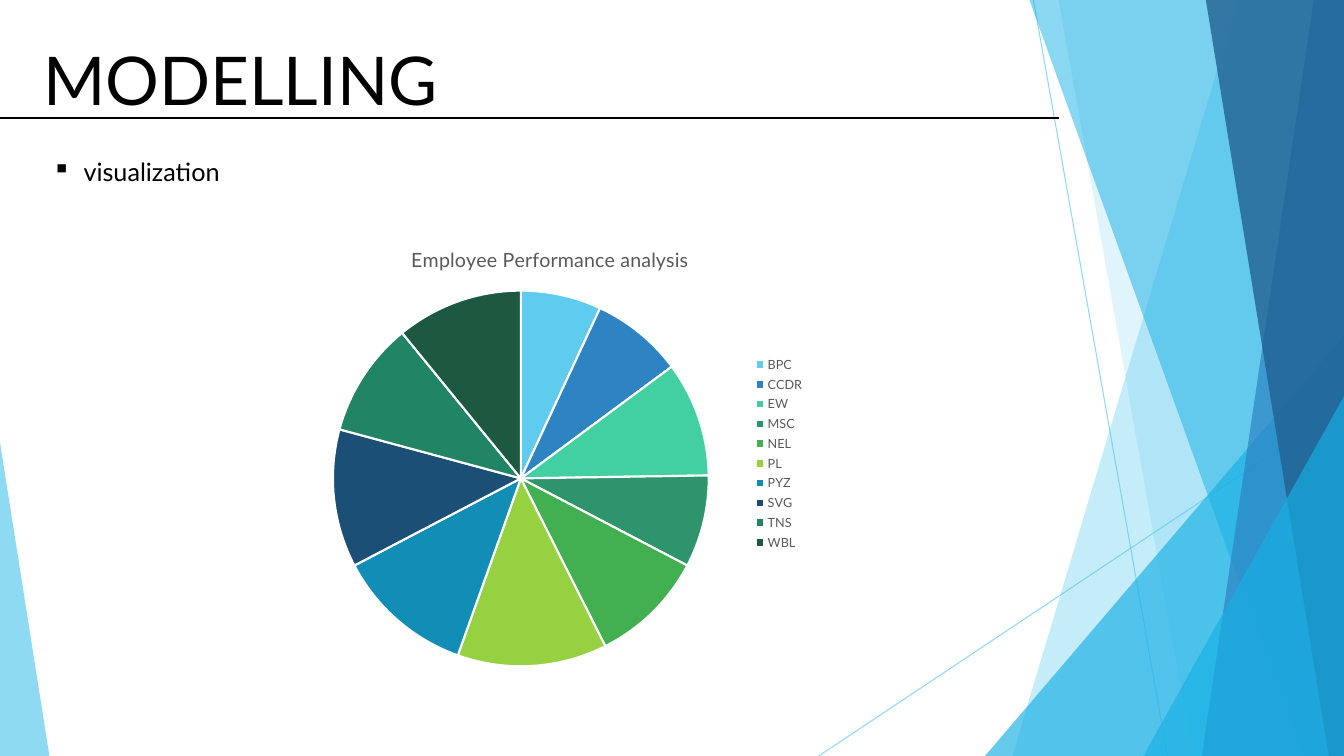
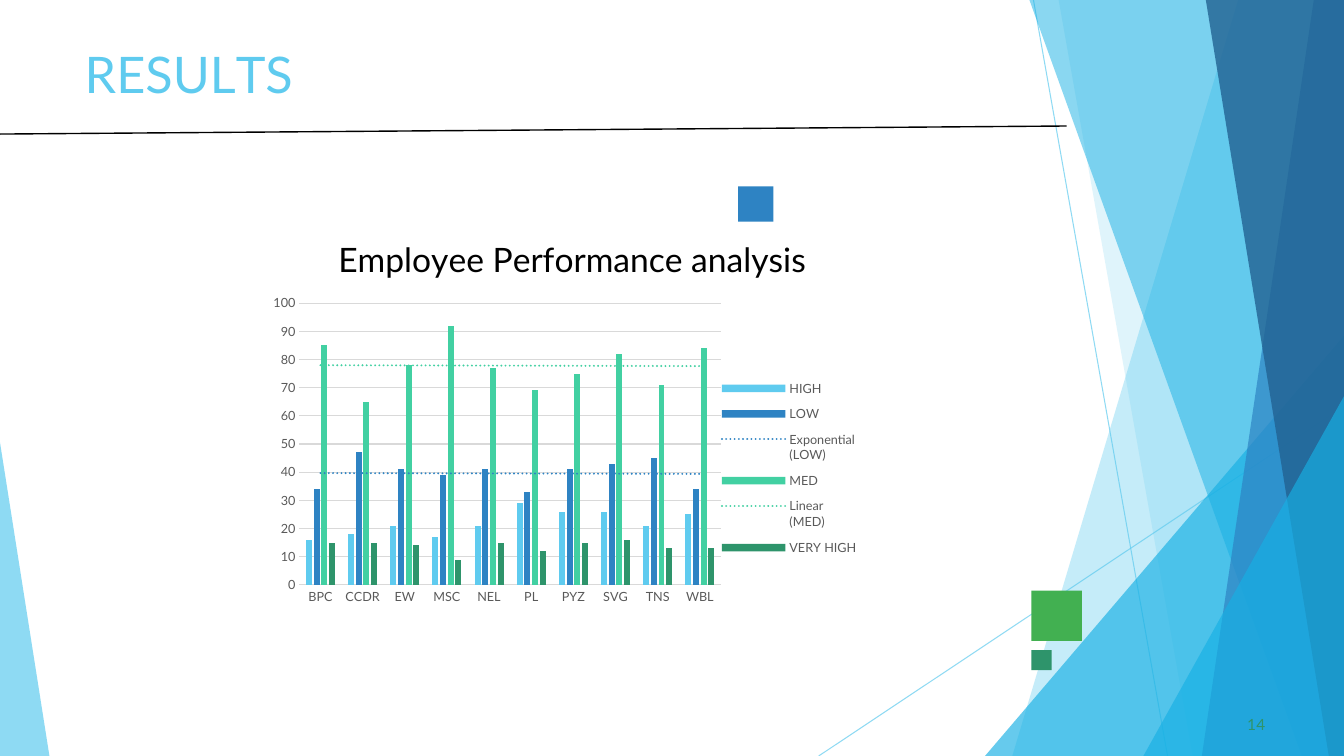
from lxml import etree
from pptx import Presentation
from pptx.chart.data import CategoryChartData
from pptx.dml.color import RGBColor
from pptx.enum.chart import XL_CHART_TYPE as ChartType
from pptx.enum.chart import XL_LEGEND_POSITION as LegendPosition
from pptx.enum.chart import XL_TICK_MARK as TickMark
from pptx.enum.shapes import MSO_CONNECTOR as Connector
from pptx.enum.shapes import MSO_SHAPE as Preset
from pptx.enum.text import MSO_ANCHOR as Anchor
from pptx.enum.text import MSO_AUTO_SIZE as AutoSize
from pptx.enum.text import PP_ALIGN as Align
from pptx.oxml import parse_xml
from pptx.oxml.ns import nsdecls, qn
from pptx.util import Inches, Pt

WIDTH, HEIGHT = 13.33, 7.5
FONT = "Lato"
COLORS = {
    "black": "000000", "white": "FFFFFF", "gray": "595959", "grid": "D9D9D9",
    "sky": "5FCBEF", "cyan": "17B0E4", "blue": "2E83C3", "navy": "226292",
    "mint": "42D0A2", "sea": "2E946B", "leaf": "42B051",
}
PIE_COLORS = ["5FCBEF", "2E83C3", "42D0A2", "2E946B", "42B051",
              "96D141", "128DB6", "1C4F75", "218464", "1C5940"]
CHART_TITLE = "Employee Performance analysis"
TEAMS = ["BPC", "CCDR", "EW", "MSC", "NEL", "PL", "PYZ", "SVG", "TNS", "WBL"]
PIE_SERIES = {
    "Series 1": [7, 8, 10, 8, 10, 13, 12, 12, 10, 11],
    "Series 2": [9, 12, 10, 10, 10, 8, 10, 11, 11, 9],
    "Series 3": [11, 8, 10, 12, 10, 9, 10, 11, 9, 11],
    "Series 4": [11, 11, 10, 7, 11, 9, 11, 12, 9, 9],
}
LEVELS = {
    "HIGH": [16, 18, 21, 17, 21, 29, 26, 26, 21, 25],
    "LOW": [34, 47, 41, 39, 41, 33, 41, 43, 45, 34],
    "MED": [85, 65, 78, 92, 77, 69, 75, 82, 71, 84],
    "VERY HIGH": [15, 15, 14, 9, 15, 12, 15, 16, 13, 13],
}
LEVEL_COLORS = ["sky", "blue", "mint", "sea"]
TRENDS = {"LOW": ("exp", "blue"), "MED": ("linear", "mint")}


def color(name):
    return RGBColor.from_string(COLORS[name])


def inches(values):
    return [Inches(value) for value in values]


def set_alpha(shape, percent):
    for element in shape.element.xpath(".//a:srgbClr"):
        etree.SubElement(element, qn("a:alpha"), val=str(percent * 1000))


def paint(shape, fill, alpha=100):
    shape.shadow.inherit = False
    shape.fill.solid()
    shape.fill.fore_color.rgb = color(fill)
    shape.line.fill.background()
    if alpha < 100:
        set_alpha(shape, alpha)


def add_line(shapes, start, end, name, width):
    line = shapes.add_connector(Connector.STRAIGHT, *inches(start + end))
    line.line.color.rgb = color(name)
    line.line.width = Pt(width)
    etree.SubElement(line.element.spPr, qn("a:effectLst"))
    return line


def add_band(shapes, top_left, bottom_left, fill, alpha):
    """Fill from a slanted left edge to the right edge of the slide."""
    start, *rest = [inches(point) for point in (
        (top_left, 0), (WIDTH, 0), (WIDTH, HEIGHT), (bottom_left, HEIGHT))]
    builder = shapes.build_freeform(*start, scale=1.0)
    builder.add_line_segments(rest, close=True)
    paint(builder.convert_to_shape(), fill, alpha)


def add_corner(shapes, left, top, width, apex, fill, alpha):
    """Right triangle standing on the bottom edge of the slide."""
    corner = shapes.add_shape(
        Preset.ISOSCELES_TRIANGLE, *inches((left, top, width, HEIGHT - top)))
    corner.adjustments[0] = apex
    paint(corner, fill, alpha)


def add_facets(slide, layout):
    """Draw the facets as one group and hand it to the shared layout."""
    group = slide.shapes.add_group_shape()
    shapes = group.shapes
    for start, end in (((10.25, 0), (11.58, HEIGHT)),
                       ((WIDTH, 4.03), (8.12, HEIGHT))):
        set_alpha(add_line(shapes, start, end, "sky", 0.75), 70)
    add_band(shapes, 12.28, 10.04, "sky", 36)
    add_band(shapes, 10.5, 11.83, "sky", 20)
    add_corner(shapes, 9.77, 3.33, WIDTH - 9.77, 1, "cyan", 66)
    add_band(shapes, 10.21, 12.91, "cyan", 50)
    add_band(shapes, 13.03, 11.92, "blue", 70)
    add_band(shapes, 11.96, 13.18, "navy", 80)
    add_corner(shapes, 11.34, 3.93, WIDTH - 11.34, 1, "cyan", 66)
    add_corner(shapes, 0, 4.39, 0.49, 0, "sky", 70)
    layout.shapes.element.insert(2, group.element)


def write(shape, box, runs, size, name, insets=(0.1, 0.05), before=0):
    """Place a text shape and fill it with (text, letter spacing) runs."""
    shape.left, shape.top, shape.width, shape.height = inches(box)
    frame = shape.text_frame
    frame.word_wrap = True
    frame.auto_size = AutoSize.NONE
    frame.vertical_anchor = Anchor.TOP
    frame.margin_left, frame.margin_top = inches(insets)
    frame.margin_right = frame.margin_bottom = 0
    paragraph = frame.paragraphs[0]
    paragraph.alignment = Align.LEFT
    paragraph.space_before = Pt(before)
    for text, spacing in runs:
        run = paragraph.add_run()
        run.text = text
        style(run.font, size, name)
        if spacing:
            run._r.get_or_add_rPr().set("spc", str(round(spacing * 100)))
    return paragraph


def style(font, size, name):
    font.name, font.size, font.bold = FONT, Pt(size), False
    font.color.rgb = color(name)


def add_bullet_text(slide, box, text):
    paragraph = write(slide.shapes.add_textbox(*inches(box)), box,
                      [(text, 0)], 18, "black")
    properties = paragraph._p.get_or_add_pPr()
    properties.set("marL", str(Inches(0.31)))
    properties.set("indent", str(-Inches(0.31)))
    etree.SubElement(properties, qn("a:buChar"), char="▪")


def manual_layout(box, inner=False):
    """Layout of a chart part, as shares of the chart's size."""
    target = '<c:layoutTarget val="inner"/>' if inner else ""
    modes = "".join(f'<c:{axis}Mode val="edge"/>' for axis in "xy")
    shares = "".join(f'<c:{key} val="{share}"/>' for key, share in zip("xywh", box))
    return parse_xml(f'<c:layout {nsdecls("c")}><c:manualLayout>{target}{modes}'
                     f'{shares}</c:manualLayout></c:layout>')


def add_team_chart(slide, kind, box, series, title_size, title_color, plot_box):
    data = CategoryChartData()
    data.categories = TEAMS
    for name, values in series.items():
        data.add_series(name, values)
    chart = slide.shapes.add_chart(kind, *inches(box), data).chart
    chart.replace_data(data)
    style(chart.font, 10, "black")
    chart.has_title = True
    run = chart.chart_title.text_frame.paragraphs[0].add_run()
    run.text = CHART_TITLE
    style(run.font, title_size, title_color)
    chart.has_legend = True
    chart.legend.position = LegendPosition.RIGHT
    chart.legend.include_in_layout = False
    style(chart.legend.font, 9, "gray")
    plot_area = chart.element.xpath(".//c:plotArea")[0]
    for layout in plot_area.findall(qn("c:layout")):
        plot_area.remove(layout)
    plot_area.insert(0, manual_layout(plot_box, inner=True))
    return chart


def add_pie(slide, box):
    chart = add_team_chart(slide, ChartType.PIE, box, PIE_SERIES, 14, "gray",
                           (0.09, 0.14, 0.71, 0.83))
    chart.plots[0].vary_by_categories = True
    for series in chart.plots[0].series:
        for index, fill in enumerate(PIE_COLORS):
            point = series.points[index].format
            point.fill.solid()
            point.fill.fore_color.rgb = RGBColor.from_string(fill)
            point.line.color.rgb = color("white")
            point.line.width = Pt(1.5)


def add_trend(chart, name, kind, line_color):
    categories = chart.element.xpath(f".//c:ser[c:tx//c:v='{name}']/c:cat")[0]
    categories.addprevious(parse_xml(
        f'<c:trendline {nsdecls("c", "a")}><c:spPr><a:ln w="{Pt(1.5)}" cap="rnd">'
        f'<a:solidFill><a:srgbClr val="{COLORS[line_color]}"/></a:solidFill>'
        f'<a:prstDash val="sysDot"/></a:ln></c:spPr>'
        f'<c:trendlineType val="{kind}"/><c:dispRSqr val="0"/>'
        f'<c:dispEq val="0"/></c:trendline>'))


def add_columns(slide, box):
    chart = add_team_chart(slide, ChartType.COLUMN_CLUSTERED, box, LEVELS, 24,
                           "black", (0.06, 0.22, 0.68, 0.71))
    plot = chart.plots[0]
    plot.gap_width, plot.overlap = 219, -27
    plot.vary_by_categories = False
    for series, fill in zip(plot.series, LEVEL_COLORS):
        series.format.fill.solid()
        series.format.fill.fore_color.rgb = color(fill)
        series.invert_if_negative = False
    for name, (kind, line_color) in TRENDS.items():
        add_trend(chart, name, kind, line_color)
    values, categories = chart.value_axis, chart.category_axis
    for axis in (values, categories):
        axis.major_tick_mark = axis.minor_tick_mark = TickMark.NONE
        style(axis.tick_labels.font, 9, "gray")
    values.minimum_scale, values.maximum_scale, values.major_unit = 0, 100, 10
    values.format.line.fill.background()
    for line in (values.major_gridlines.format.line, categories.format.line):
        line.color.rgb = color("grid")
        line.width = Pt(0.75)
    position = chart.element.xpath(".//c:legendPos")[0]
    position.addnext(manual_layout((0.74, 0.39, 0.22, 0.49)))


def add_square(slide, left, top, size, fill):
    square = slide.shapes.add_shape(
        Preset.RECTANGLE, *inches((left, top, size, size)))
    paint(square, fill)


def build_modelling(slide):
    write(slide.shapes.title, (0.33, 0.33, 9.81, 1.17),
          [("MODELLING", 0)], 48, "black")
    add_bullet_text(slide, (0.42, 1.5, 3.25, 0.42), "visualization")
    add_line(slide.shapes, (0, 1.17), (10.5, 1.17), "black", 1)
    add_pie(slide, (2.83, 2.25, 5.25, 4.5))


def build_results(slide):
    add_square(slide, 10.23, 5.86, 0.5, "leaf")
    add_square(slide, 7.32, 1.85, 0.35, "blue")
    add_square(slide, 10.23, 6.45, 0.2, "sea")
    letters = [("R", 0), ("E", -0.4), ("S", 0.1), ("U", -0.3), ("L", -4), ("TS", 0)]
    write(slide.shapes.title, (0.83, 0.42, 2.67, 0.83), letters, 36, "sky",
          insets=(0.01, 0.01), before=1.1)
    number_box = (12.33, 7.08, 0.25, 0.21)
    write(slide.shapes.add_textbox(*inches(number_box)), number_box,
          [("14", 0.1)], 11, "sea", insets=(0.04, 0.01), before=0.6)
    add_line(slide.shapes, (0, 1.33), (10.58, 1.25), "black", 1)
    add_columns(slide, (2.6, 2.14, 6.15, 3.94))


def main():
    presentation = Presentation()
    presentation.slide_width, presentation.slide_height = inches((WIDTH, HEIGHT))
    layout = presentation.slide_layouts.get_by_name("Title Only")
    slides = [presentation.slides.add_slide(layout) for _ in range(2)]
    add_facets(slides[0], layout)
    build_modelling(slides[0])
    build_results(slides[1])
    presentation.save("out.pptx")


if __name__ == "__main__":
    main()
